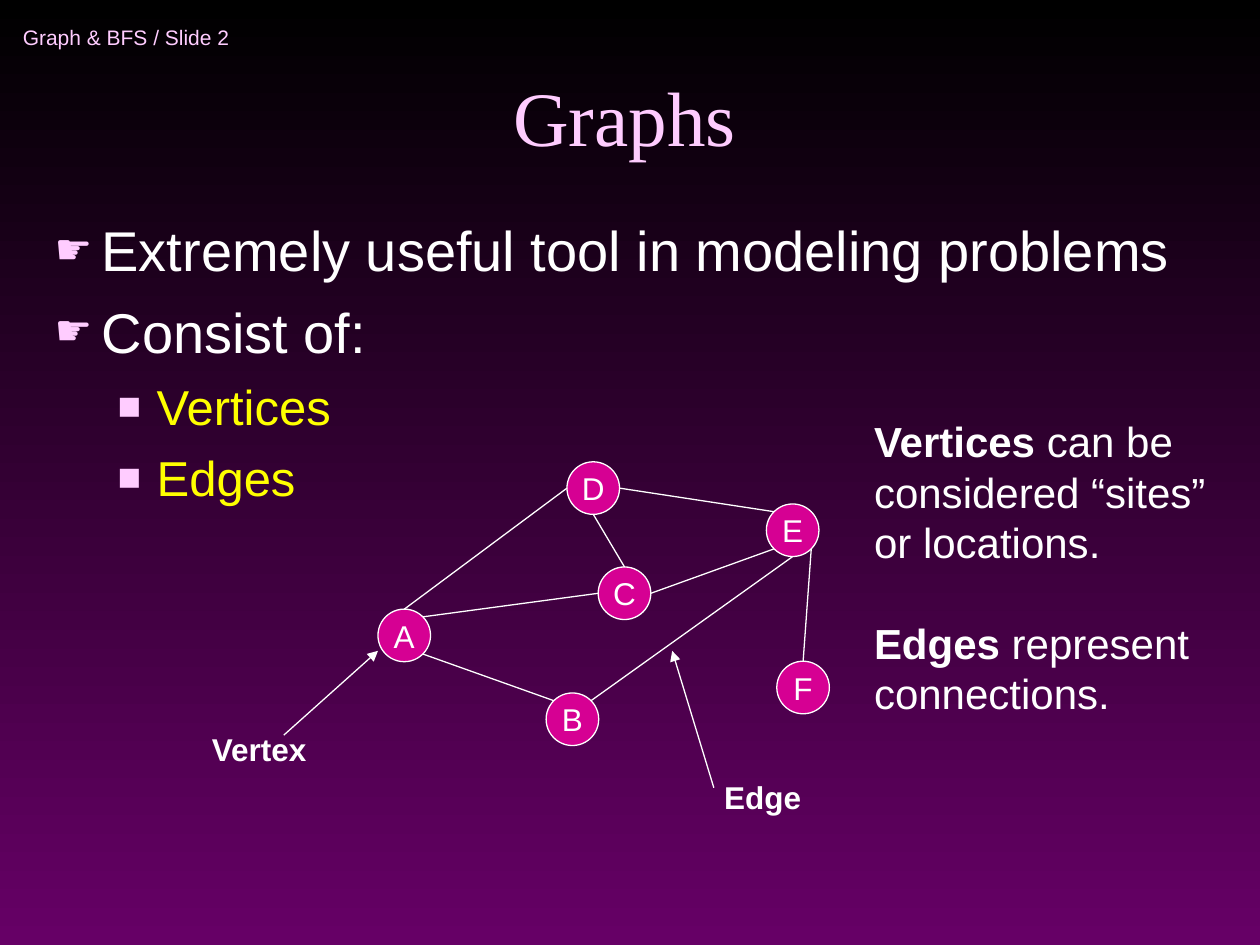
from dataclasses import dataclass
from math import cos, radians, sin

from lxml import etree
from pptx import Presentation
from pptx import util as u
from pptx.dml.color import RGBColor
from pptx.enum import shapes, text
from pptx.oxml.ns import qn


@dataclass(frozen=True)
class Theme:
    top: str = "000000"
    bottom: str = "660066"
    accent: str = "FFCCFF"
    body: str = "FFFFFF"
    highlight: str = "FFFF00"
    node: str = "D60093"
    sans: str = "Arial"
    serif: str = "Times New Roman"
    header_size: int = 12
    title_size: int = 44
    bullet_sizes: tuple = (32, 28)
    note_size: int = 24
    label_size: int = 18
    leading: float = 1.2
    line_width: float = 0.75
    diameter: float = 1.06


class SlideBuilder:
    def __init__(self, slide, theme):
        self.slide = slide
        self.theme = theme

    def background(self):
        fill = self.slide.background.fill
        fill.gradient()
        fill.gradient_angle = 270
        colors = (self.theme.top, self.theme.bottom)
        for position, (stop, color) in enumerate(zip(fill.gradient_stops, colors)):
            stop.position = position
            stop.color.rgb = RGBColor.from_string(color)

    def run(self, paragraph, words, size, color=None, bold=False, font=None):
        run = paragraph.add_run()
        run.text = words
        run.font.size = u.Pt(size)
        run.font.name = font or self.theme.sans
        run.font.bold = bold
        run.font.color.rgb = RGBColor.from_string(color or self.theme.body)

    def box(self, left, top, width, height, wrap=False, anchor=text.MSO_ANCHOR.TOP):
        shape = self.slide.shapes.add_textbox(*map(u.Cm, (left, top, width, height)))
        frame = shape.text_frame
        frame.word_wrap = wrap
        frame.vertical_anchor = anchor
        return frame

    def label(self, place, words):
        paragraph = self.box(*place).paragraphs[0]
        self.run(paragraph, words, self.theme.label_size, bold=True)

    def header(self, place, words):
        paragraph = self.box(*place, anchor=text.MSO_ANCHOR.MIDDLE).paragraphs[0]
        self.run(paragraph, words, self.theme.header_size, self.theme.accent)

    def title(self, place, words):
        frame = self.box(*place, wrap=True, anchor=text.MSO_ANCHOR.BOTTOM)
        paragraph = frame.paragraphs[0]
        paragraph.alignment = text.PP_ALIGN.CENTER
        self.run(paragraph, words, self.theme.title_size, self.theme.accent,
                 font=self.theme.serif)

    def bullets(self, place, items):
        frame = self.box(*place, wrap=True)
        styles = (("☛", 75, 0.95, 0.95, self.theme.body),
                  ("■", 80, 2.06, 0.79, self.theme.highlight))
        for index, (level, words) in enumerate(items):
            paragraph = frame.add_paragraph() if index else frame.paragraphs[0]
            symbol, percent, margin, hanging, color = styles[level]
            size = self.theme.bullet_sizes[level]
            paragraph.level = level
            paragraph.space_before = u.Pt(size / 4)
            paragraph.line_spacing = u.Pt(size * self.theme.leading)
            self.run(paragraph, words, size, color)
            properties = paragraph._p.get_or_add_pPr()
            properties.set("marL", str(u.Cm(margin)))
            properties.set("indent", str(-u.Cm(hanging)))
            bullet_color = etree.SubElement(properties, qn("a:buClr"))
            etree.SubElement(bullet_color, qn("a:srgbClr"), val=self.theme.accent)
            etree.SubElement(properties, qn("a:buSzPct"), val=str(percent * 1000))
            etree.SubElement(properties, qn("a:buFont"), typeface=self.theme.sans)
            etree.SubElement(properties, qn("a:buChar"), char=symbol)

    def notes(self, place, items):
        frame = self.box(*place)
        size = self.theme.note_size
        leading = u.Pt(size * self.theme.leading)
        for index, (term, lines) in enumerate(items):
            paragraph = frame.add_paragraph() if index else frame.paragraphs[0]
            paragraph.line_spacing = leading
            paragraph.space_before = leading if index else 0
            self.run(paragraph, term, size, bold=True)
            for number, line in enumerate(lines):
                if number:
                    paragraph.add_line_break()
                self.run(paragraph, line, size)

    def node(self, center, name):
        diameter = self.theme.diameter
        left, top = (value - diameter / 2 for value in center)
        shape = self.slide.shapes.add_shape(
            shapes.MSO_SHAPE.OVAL, *map(u.Cm, (left, top, diameter, diameter)))
        shape.shadow.inherit = False
        shape.fill.solid()
        shape.fill.fore_color.rgb = RGBColor.from_string(self.theme.node)
        self.stroke(shape.line)
        frame = shape.text_frame
        frame.word_wrap = False
        frame.vertical_anchor = text.MSO_ANCHOR.MIDDLE
        paragraph = frame.paragraphs[0]
        paragraph.alignment = text.PP_ALIGN.CENTER
        self.run(paragraph, name, self.theme.label_size)

    def stroke(self, line):
        line.color.rgb = RGBColor.from_string(self.theme.body)
        line.width = u.Pt(self.theme.line_width)

    def line(self, start, end, arrow=False):
        connector = self.slide.shapes.add_connector(
            shapes.MSO_CONNECTOR.STRAIGHT, *map(u.Cm, (*start, *end)))
        self.stroke(connector.line)
        if arrow:
            outline = connector.line._get_or_add_ln()
            etree.SubElement(outline, qn("a:tailEnd"), type="triangle")
        etree.SubElement(connector._element.spPr, qn("a:effectLst"))

    def rim(self, center, degrees):
        radius = self.theme.diameter / 2
        angle = radians(degrees)
        return center[0] + radius * cos(angle), center[1] + radius * sin(angle)

    def graph(self, nodes, edges):
        for name, center in nodes.items():
            self.node(center, name)
        for start, start_angle, end, end_angle in edges:
            self.line(self.rim(nodes[start], start_angle),
                      self.rim(nodes[end], end_angle))


def main():
    presentation = Presentation()
    presentation.slide_width = u.Cm(25.4)
    presentation.slide_height = u.Cm(19.05)
    slide = presentation.slides.add_slide(presentation.slide_layouts[6])
    builder = SlideBuilder(slide, Theme())

    builder.background()
    builder.header((0.21, 0.21, 6.99, 1.06), "Graph & BFS / Slide 2")
    builder.title((1.69, 0.64, 21.8, 2.75), "Graphs")
    builder.bullets((0.85, 4.23, 23.92, 13.02), [
        (0, "Extremely useful tool in modeling problems"),
        (0, "Consist of:"),
        (1, "Vertices"),
        (1, "Edges"),
    ])
    nodes = {"D": (11.96, 9.84), "E": (15.98, 10.69), "A": (8.15, 12.81),
             "C": (12.59, 11.96), "F": (16.19, 13.86), "B": (11.54, 14.5)}
    edges = [("A", 45, "B", 225), ("A", 315, "C", 180), ("D", 180, "A", 270),
             ("D", 90, "C", 270), ("D", 0, "E", 225), ("C", 0, "E", 135),
             ("F", 270, "E", 45), ("E", 90, "B", 315)]
    builder.graph(nodes, edges)
    builder.line((5.72, 14.82), (7.62, 13.12), arrow=True)
    builder.label((4.02, 14.6, 2.44, 1.02), "Vertex")
    builder.line((14.39, 15.88), (13.55, 13.12), arrow=True)
    builder.label((14.35, 15.55, 2.06, 1.02), "Edge")
    builder.notes((17.37, 8.26, 7.19, 6.35), [
        ("Vertices", (" can be", "considered “sites”", "or locations.")),
        ("Edges", (" represent", "connections.")),
    ])
    presentation.save("out.pptx")


if __name__ == "__main__":
    main()
